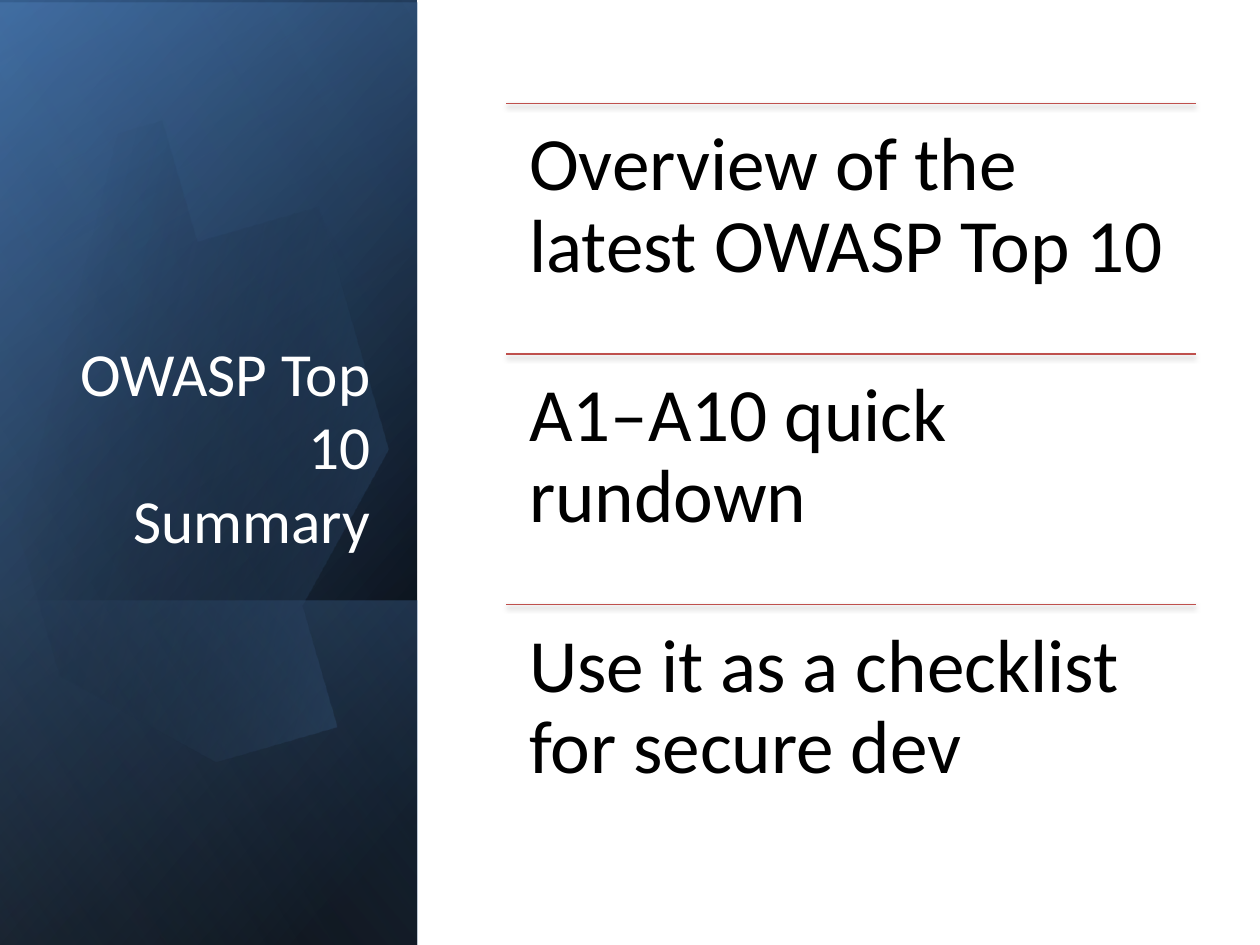
from dataclasses import dataclass
from math import cos, radians, sin

from pptx import Presentation
from pptx import util as u
from pptx.dml.color import RGBColor
from pptx.enum import shapes, text
from pptx.oxml import parse_xml
from pptx.oxml.ns import nsdecls, qn

WIDE, HIGH = 10, 7.5
BLACK = RGBColor(0x00, 0x00, 0x00)
WHITE = RGBColor(0xFF, 0xFF, 0xFF)
NAVY = RGBColor(0x36, 0x60, 0x92)
BLUE = RGBColor(0x4F, 0x81, 0xBD)
PALE = RGBColor(0x93, 0xB3, 0xD7)
RED = RGBColor(0xBF, 0x50, 0x4D)
FONT = "Calibri"

SIDE = WIDE * 0.331
LEFT, TOP, SPAN, STEP = WIDE * 0.402, 0.82, WIDE * 0.547, 1.99
ITEMS = (
    "Overview of the latest OWASP Top 10",
    "A1–A10 quick rundown",
    "Use it as a checklist for secure dev",
)


@dataclass
class Stop:
    at: int
    color: RGBColor
    alpha: int = 100


@dataclass
class Panel:
    """A layer of the side band, as seen: top edge, height and gradient."""
    top: float
    high: float
    angle: int
    stops: tuple[Stop, ...]


BASE = Panel(0, HIGH, 50, (Stop(0, BLACK), Stop(8, BLACK), Stop(100, NAVY)))
GLOW = Panel(0.02, HIGH, 30,
             (Stop(0, BLACK, 0), Stop(99, BLUE, 46), Stop(100, BLUE, 46)))
FOOT = Panel(4.77, 2.74, 130,
             (Stop(0, BLUE, 29), Stop(2, BLUE, 29), Stop(100, BLACK, 30)))
SHEEN = Panel(0, HIGH, 120,
              (Stop(0, BLACK, 0), Stop(99, PALE, 11), Stop(100, PALE, 11)))

TILT = 343.9
HUB = (1.19, 3.35)
ORB = (Stop(0, BLACK, 0), Stop(29, BLACK, 0), Stop(100, BLUE, 43))
START = (0.96, 1.14)
# Each part holds one end point (a line) or two handles and an end (a curve).
PARTS = (
    ((1.71, 1.22), (2.44, 1.92), (2.73, 2.9)),
    ((3.07, 4.12), (2.62, 5.31), (1.71, 5.57)),
    ((1.14, 5.74), (0.53, 5.5), (0.07, 5)),
    ((-0.03, 4.88),),
    ((-0.25, 1.66),),
    ((-0.15, 1.54),),
    ((0.02, 1.37), (0.22, 1.25), (0.45, 1.18)),
    ((0.62, 1.13), (0.79, 1.12), START),
)


def assign(obj, values: dict) -> None:
    for name, value in values.items():
        setattr(obj, name, value)


def shade(shape, stops: tuple[Stop, ...], angle: int) -> None:
    """Give a shape a linear gradient and no outline."""
    marks = "".join(
        f'<a:gs pos="{s.at * 1000}"><a:srgbClr val="{s.color}">'
        f'<a:alpha val="{s.alpha * 1000}"/></a:srgbClr></a:gs>' for s in stops)
    shape.shadow.inherit = False
    shape.line.fill.background()
    shape.fill.background()
    props = shape._element.spPr
    props.replace(props.find(qn("a:noFill")), parse_xml(
        f'<a:gradFill {nsdecls("a")} rotWithShape="1"><a:gsLst>{marks}</a:gsLst>'
        f'<a:lin ang="{angle * 60000}" scaled="0"/></a:gradFill>'))


def add_panel(slide, panel: Panel) -> None:
    """Draw a layer as a flipped rectangle on its side."""
    left = (SIDE - panel.high) / 2
    top = panel.top + (panel.high - SIDE) / 2
    shape = slide.shapes.add_shape(
        shapes.MSO_SHAPE.RECTANGLE, u.Inches(left), u.Inches(top),
        u.Inches(panel.high), u.Inches(SIDE))
    shape.rotation = 90
    shape._element.spPr.xfrm.set("flipH", "1")
    shade(shape, panel.stops, panel.angle)


def trace(count: int = 16) -> list[tuple[float, float]]:
    """Turn the parts of the orb into points along its edge."""
    points = [START]
    for part in PARTS:
        if len(part) == 1:
            points.append(part[0])
            continue
        knots = (points[-1], *part)
        for i in range(1, count + 1):
            t = i / count
            mix = ((1 - t) ** 3, 3 * t * (1 - t) ** 2, 3 * t * t * (1 - t), t ** 3)
            points.append(tuple(
                sum(m * k[axis] for m, k in zip(mix, knots)) for axis in (0, 1)))
    return points


def level(point: tuple[float, float]) -> tuple[float, float]:
    """Undo the tilt of a point about the hub."""
    turn = radians(-TILT)
    x, y = point[0] - HUB[0], point[1] - HUB[1]
    return (HUB[0] + x * cos(turn) - y * sin(turn),
            HUB[1] + x * sin(turn) + y * cos(turn))


def add_orb(slide) -> None:
    first, *rest = [level(p) for p in trace()]
    pen = slide.shapes.build_freeform(*first, scale=u.Inches(1))
    pen.add_line_segments(rest, close=True)
    shape = pen.convert_to_shape()
    shape.rotation = TILT
    shade(shape, ORB, 30)


def write(frame, words: str, size: int, color: RGBColor, pad: tuple[float, float],
          anchor, para: dict) -> None:
    across, down = (u.Inches(p) for p in pad)
    assign(frame, {
        "text": words, "word_wrap": True, "auto_size": text.MSO_AUTO_SIZE.NONE,
        "vertical_anchor": anchor, "margin_left": across, "margin_right": across,
        "margin_top": down, "margin_bottom": down})
    line = frame.paragraphs[0]
    assign(line, para)
    font = line.runs[0].font
    assign(font, {"name": FONT, "size": u.Pt(size)})
    font.color.rgb = color


def add_title(slide) -> None:
    title = slide.shapes.title
    assign(title, {"left": u.Inches(0.48), "top": u.Inches(1.84),
                   "width": u.Inches(2.56), "height": u.Inches(2.62)})
    write(title.text_frame, "OWASP Top 10 Summary", 35, WHITE, (0.1, 0.05),
          text.MSO_ANCHOR.BOTTOM, {"alignment": text.PP_ALIGN.RIGHT})
    tree = slide.shapes._spTree
    tree.append(title._element)


def add_item(group, words: str, row: int) -> None:
    """Draw a rule with its words below."""
    left, wide, high = u.Inches(LEFT), u.Inches(SPAN), u.Inches(STEP)
    top = u.Inches(TOP + row * STEP)
    rule = group.shapes.add_connector(
        shapes.MSO_CONNECTOR.STRAIGHT, left, top, left + wide, top)
    rule.line.color.rgb = RED
    rule.line.width = u.Pt(0.75)
    rule._element.spPr.append(parse_xml(
        f'<a:effectLst {nsdecls("a")}><a:outerShdw blurRad="{u.Pt(3.1)}" '
        f'dist="{u.Pt(1.8)}" dir="5400000" rotWithShape="0">'
        f'<a:srgbClr val="{BLACK}"><a:alpha val="35000"/></a:srgbClr>'
        '</a:outerShdw></a:effectLst>'))
    box = group.shapes.add_textbox(left, top, wide, high)
    write(box.text_frame, words, 43, BLACK, (0.18, 0.18),
          text.MSO_ANCHOR.TOP, {"line_spacing": 0.9})


def main() -> None:
    deck = Presentation()
    assign(deck, {"slide_width": u.Inches(WIDE), "slide_height": u.Inches(HIGH)})
    slide = deck.slides.add_slide(deck.slide_layouts[5])
    for panel in (BASE, GLOW, FOOT):
        add_panel(slide, panel)
    add_orb(slide)
    add_panel(slide, SHEEN)
    add_title(slide)
    group = slide.shapes.add_group_shape()
    for row, words in enumerate(ITEMS):
        add_item(group, words, row)
    deck.save("out.pptx")


if __name__ == "__main__":
    main()
